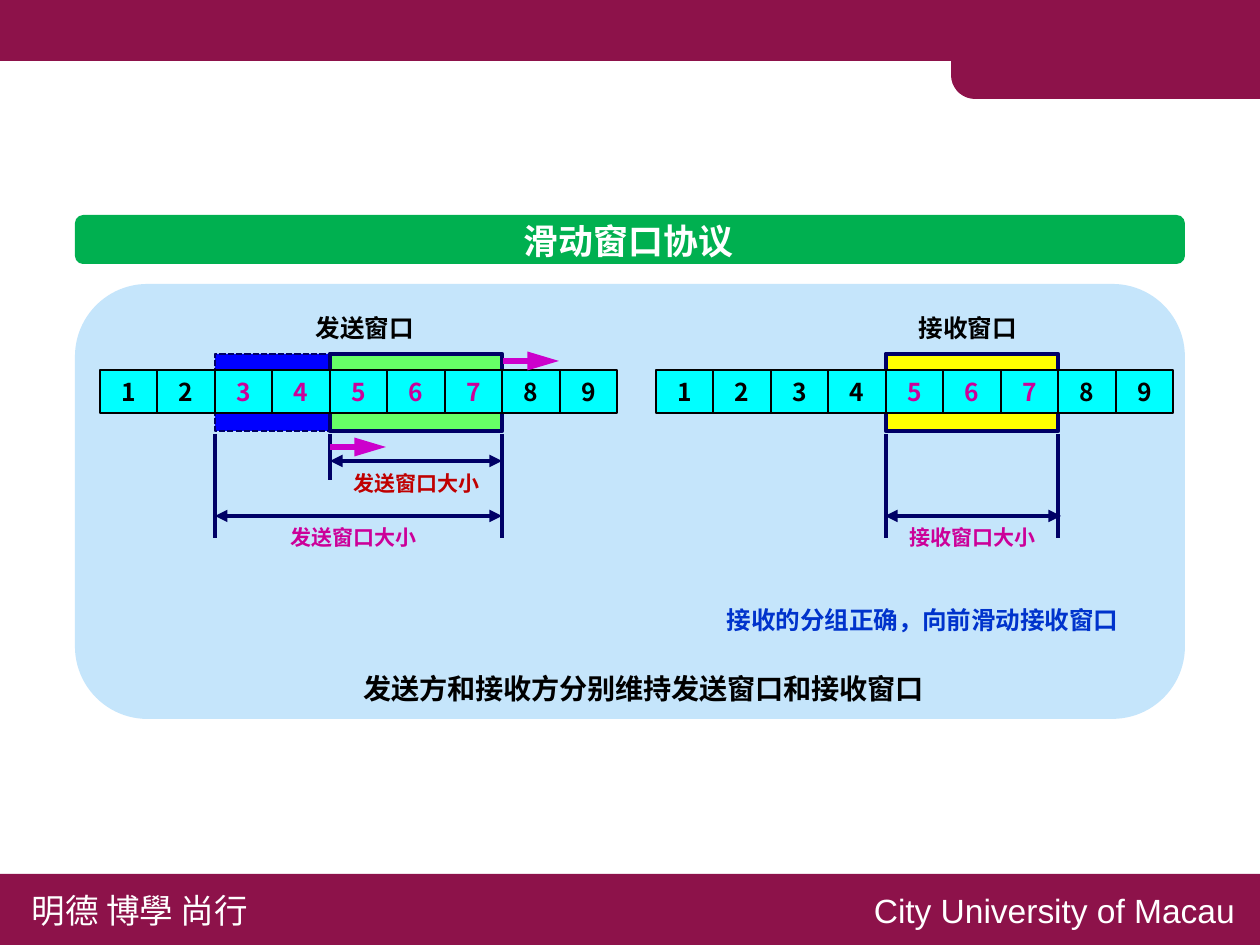
import math
from dataclasses import dataclass

from lxml import etree
from pptx import Presentation
from pptx.dml.color import RGBColor
from pptx.enum.dml import MSO_LINE
from pptx.enum.shapes import MSO_CONNECTOR, MSO_SHAPE
from pptx.enum.text import MSO_ANCHOR, MSO_AUTO_SIZE, PP_ALIGN
from pptx.oxml.ns import qn
from pptx.util import Pt

PX = 6048  # EMU per px
RECT, ROUNDED = MSO_SHAPE.RECTANGLE, MSO_SHAPE.ROUNDED_RECTANGLE
STRAIGHT, DASHED = MSO_CONNECTOR.STRAIGHT, MSO_LINE.SQUARE_DOT
LEFT, CENTER = PP_ALIGN.LEFT, PP_ALIGN.CENTER
TOP, MIDDLE = MSO_ANCHOR.TOP, MSO_ANCHOR.MIDDLE
NO_AUTOFIT = MSO_AUTO_SIZE.NONE


@dataclass(frozen=True)
class Theme:
    cjk: str = "Noto Sans CJK SC"
    latin: str = "Arial"
    title_size: float = 16.67
    footer_size: float = 16
    summary_size: float = 13.33
    label_size: float = 11.67
    measure_size: float = 10
    white: str = "FFFFFF"
    black: str = "000000"
    maroon: str = "8D124A"
    bar: str = "00B050"
    panel: str = "C5E5FB"
    navy: str = "000066"
    acknowledged: str = "0000FF"
    sending: str = "66FF66"
    receiving: str = "FFFF00"
    cell: str = "00FFFF"
    magenta: str = "CC0099"
    slide_arrow: str = "CC00CC"
    red: str = "C00000"
    note: str = "0033CC"


theme = Theme()


def write_text(shape, text, size, color, font=theme.cjk, bold=True,
               align=LEFT, anchor=TOP):
    frame = shape.text_frame
    frame.word_wrap = False
    frame.auto_size = NO_AUTOFIT
    frame.vertical_anchor = anchor
    para = frame.paragraphs[0]
    para.alignment = align
    span = para.add_run()
    span.text = text
    span.font.size = Pt(size)
    span.font.bold = bold
    span.font.color.rgb = RGBColor.from_string(color)
    span.font.name = font
    east_asian = etree.SubElement(span._r.get_or_add_rPr(), qn("a:ea"))
    east_asian.set("typeface", font)


def add_block(kind, left, top, width, height, fill, line=None, weight=1):
    block = page.shapes.add_shape(kind, left * PX, top * PX, width * PX, height * PX)
    block.shadow.inherit = False
    block.fill.solid()
    block.fill.fore_color.rgb = RGBColor.from_string(fill)
    if line:
        block.line.color.rgb = RGBColor.from_string(line)
        block.line.width = Pt(weight)
    else:
        block.line.fill.background()
    return block


deck = Presentation()
deck.slide_width, deck.slide_height = 1260 * PX, 945 * PX
page = deck.slides.add_slide(deck.slide_layouts[5])

# Header and footer bands
add_block(RECT, 0, 0, 1260, 61, theme.maroon)
add_block(RECT, 0, 874, 1260, 71, theme.maroon)
tab_left, tab_top, tab_bottom, radius = 951, 3, 99, 24
corner_points = []
for center_y, first_angle in ((tab_bottom - radius, 90), (tab_top + radius, 180)):
    for angle in range(first_angle, first_angle + 91, 10):
        turn = math.radians(angle)
        corner_points.append(((tab_left + radius + radius * math.cos(turn)) * PX,
                              (center_y + radius * math.sin(turn)) * PX))
outline = page.shapes.build_freeform(1260 * PX, tab_bottom * PX)
outline.add_line_segments(corner_points + [(1260 * PX, tab_top * PX)], close=True)
tab = outline.convert_to_shape()
tab.shadow.inherit = False
tab.fill.solid()
tab.fill.fore_color.rgb = RGBColor.from_string(theme.maroon)
tab.line.fill.background()

# Title bar and panel
title_bar = add_block(ROUNDED, 75, 215, 1110, 49, theme.bar)
title = page.shapes.title
title.left, title.top, title.width, title.height = 508 * PX, 212 * PX, 242 * PX, 57 * PX
write_text(title, "滑动窗口协议", theme.title_size, theme.white, align=CENTER)
title_bar.element.addnext(title.element)
add_block(ROUNDED, 75, 284, 1110, 435, theme.panel)

# Windows behind the packet rows; edges fall on cell boundaries
CELLS, ROW_WIDTH, ROW_TOP, ROW_HEIGHT = 9, 517, 370, 43
offsets = [round(number * ROW_WIDTH / CELLS) for number in range(CELLS + 1)]
sender = [100 + offset for offset in offsets]
receiver = [656 + offset for offset in offsets]
for edges, first, fill, weight in (
    (sender, 2, theme.acknowledged, 1),
    (sender, 4, theme.sending, 2.25),
    (receiver, 4, theme.receiving, 2.25),
):
    window = add_block(RECT, edges[first], 354, edges[7] - edges[first], 77,
                       fill, theme.navy, weight)
    if fill == theme.acknowledged:
        window.line.dash_style = DASHED

# Packet rows
for edges, highlighted in ((sender, range(3, 8)), (receiver, range(5, 8))):
    add_block(RECT, edges[0], ROW_TOP, ROW_WIDTH, ROW_HEIGHT,
              theme.cell, theme.black, 0.75)
    for number in range(1, CELLS + 1):
        start, end = edges[number - 1:number + 1]
        cell = page.shapes.add_textbox(start * PX, ROW_TOP * PX,
                                       (end - start) * PX, ROW_HEIGHT * PX)
        color = theme.magenta if number in highlighted else theme.black
        write_text(cell, str(number), theme.label_size, color,
                   align=CENTER, anchor=MIDDLE)

# Lines and arrows: x1, y1, x2, y2, colour, weight, arrowheads, arrowhead length
GUIDE_TOP, GUIDE_END, SHORT_END = 434, 538, 480
BOTH, FORWARD = ("headEnd", "tailEnd"), ("tailEnd",)
dividers = [
    (x, ROW_TOP, x, ROW_TOP + ROW_HEIGHT, theme.black, 0.75, (), "med")
    for edges in (sender, receiver) for x in edges[1:-1]
]
guides = [
    (x, GUIDE_TOP, x, bottom, theme.navy, 1.5, (), "med")
    for x, bottom in (
        (sender[2], GUIDE_END), (sender[4], SHORT_END), (sender[7], GUIDE_END),
        (receiver[4], GUIDE_END), (receiver[7], GUIDE_END),
    )
]
measures = [
    (start, y, end, y, theme.navy, 1.5, BOTH, "med")
    for start, end, y in (
        (sender[2], sender[7], 516), (sender[4], sender[7], 461),
        (receiver[4] - 1, receiver[7] + 3, 516),
    )
]
slide_arrows = [
    (x, y, x + 56, y, theme.slide_arrow, 3, FORWARD, "lg")
    for x, y in ((sender[4], 447), (sender[7] + 1, 361))
]
for x1, y1, x2, y2, color, weight, arrowheads, length in (
    dividers + guides + measures + slide_arrows
):
    line = page.shapes.add_connector(STRAIGHT, x1 * PX, y1 * PX, x2 * PX, y2 * PX)
    line.line.color.rgb = RGBColor.from_string(color)
    line.line.width = Pt(weight)
    properties = line.element.spPr
    for arrowhead in arrowheads:
        etree.SubElement(properties.find(qn("a:ln")), qn(f"a:{arrowhead}"),
                         type="triangle", len=length)
    etree.SubElement(properties, qn("a:effectLst"))

# Labels
footer_format = {"size": theme.footer_size, "color": theme.white, "bold": False}
label_format = {"size": theme.label_size, "color": theme.black}
measure_format = {"size": theme.measure_size, "color": theme.magenta}
for text, left, top, width, height, text_format in (
    ("明德 博學 尚行", 17, 882, 254, 56, footer_format),
    ("City University of Macau", 859, 882, 396, 56, footer_format | {"font": theme.latin}),
    ("发送窗口", 301, 306, 129, 45, label_format),
    ("接收窗口", 904, 306, 129, 45, label_format),
    ("发送窗口大小", 339, 463, 157, 41, measure_format | {"color": theme.red}),
    ("发送窗口大小", 276, 517, 157, 41, measure_format),
    ("接收窗口大小", 895, 517, 157, 41, measure_format),
    ("接收的分组正确，向前滑动接收窗口", 712, 598, 425, 45,
     label_format | {"color": theme.note}),
    ("发送方和接收方分别维持发送窗口和接收窗口", 313, 664, 661, 50,
     {"size": theme.summary_size, "color": theme.black, "align": CENTER}),
):
    box = page.shapes.add_textbox(left * PX, top * PX, width * PX, height * PX)
    write_text(box, text, **text_format)

deck.save("out.pptx")
